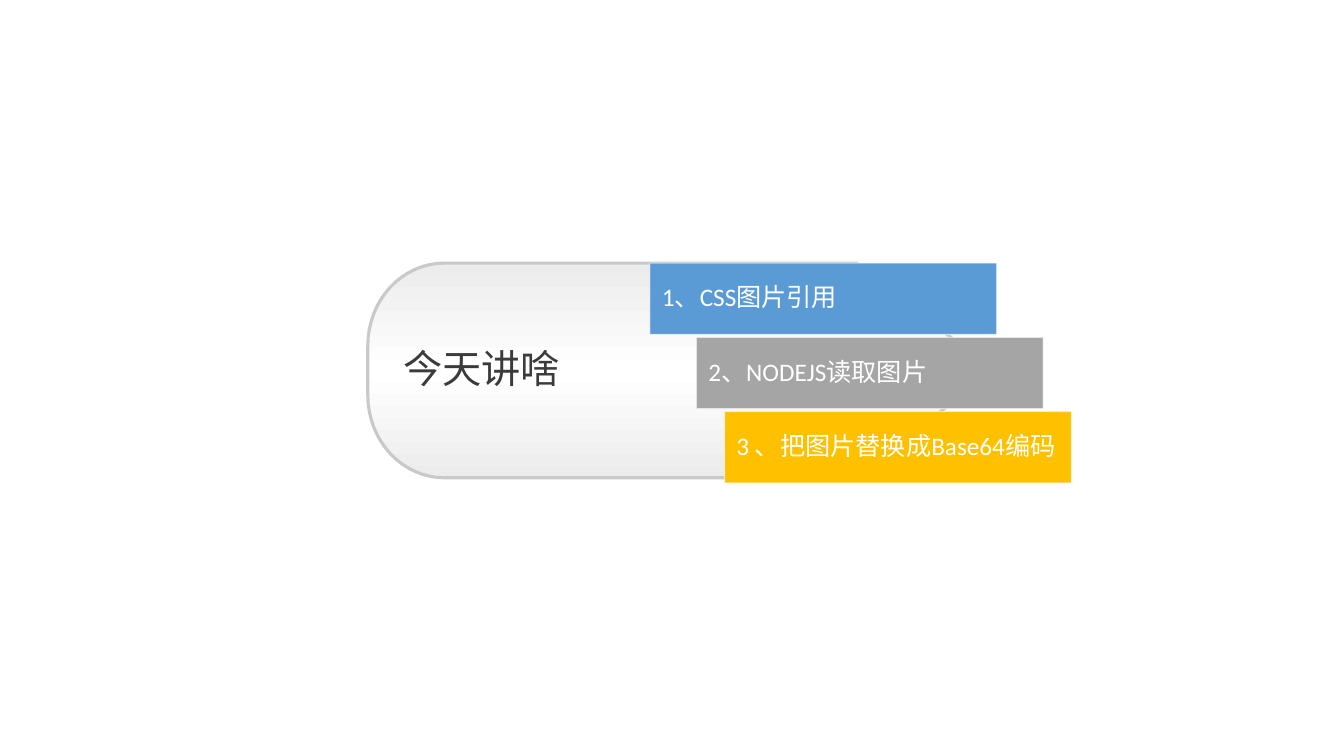
"""Build the agenda slide: a capsule heading with three stepped topic bars."""
from copy import deepcopy
from math import cos, pi, sin

from pptx import Presentation
from pptx.dml.color import RGBColor
from pptx.enum import shapes, text
from pptx.oxml import ns
from pptx.util import Cm, Pt
from lxml import etree

WHITE = RGBColor(0xFF, 0xFF, 0xFF)
PALE = RGBColor(0xEC, 0xEC, 0xEC)
EDGE = RGBColor(0xC9, 0xC9, 0xC9)
INK = RGBColor(0x3B, 0x3B, 0x3B)
BLUE = RGBColor(0x5B, 0x9B, 0xD5)
GREY = RGBColor(0xA5, 0xA5, 0xA5)
GOLD = RGBColor(0xFF, 0xC0, 0x00)

LATIN, CJK = "Calibri", "Noto Sans CJK SC"
LEFT, TOP, TIP, BOTTOM = 9.27, 6.63, 25.02, 12.04
SHOULDER, RADIUS_X, RADIUS_Y = 21.59, 1.93, 2.08
BAR_WIDTH, BAR_HEIGHT, BAR_STEP = 8.74, 1.8, 1.87
TOPICS = [
    ("1、CSS图片引用", 16.38, BLUE),
    ("2、NODEJS读取图片", 17.55, GREY),
    ("3 、把图片替换成Base64编码", 18.26, GOLD),
]


def set_all(target, values):
    for name, value in values.items():
        setattr(target, name, value)


def write(shape, words, size, color, font, left, right):
    tf = shape.text_frame
    set_all(tf, {
        "word_wrap": True, "auto_size": text.MSO_AUTO_SIZE.NONE,
        "vertical_anchor": text.MSO_ANCHOR.MIDDLE,
        "margin_left": Cm(left), "margin_right": Cm(right),
        "margin_top": 0, "margin_bottom": 0,
    })
    p = tf.paragraphs[0]
    set_all(p, {"alignment": text.PP_ALIGN.LEFT, "line_spacing": 0.9})
    r = p.add_run()
    r.text = words
    set_all(r.font, {"size": Pt(size), "name": font})
    r.font.color.rgb = color
    ea = etree.SubElement(r.font._element, ns.qn("a:ea"))
    ea.set("typeface", CJK)


def outline(shape, color, width):
    shape.shadow.inherit = False
    shape.line.color.rgb = color
    shape.line.width = Pt(width)


def corner(center_y, start):
    angles = [start + pi / 2 * i / 16 for i in range(17)]
    return [(LEFT + RADIUS_X * (1 + cos(a)), center_y + RADIUS_Y * sin(a))
            for a in angles]


def add_capsule(s):
    points = [(SHOULDER, TOP), (TIP, (TOP + BOTTOM) / 2), (SHOULDER, BOTTOM)]
    points += corner(BOTTOM - RADIUS_Y, pi / 2) + corner(TOP + RADIUS_Y, pi)
    points = [(Cm(x), Cm(y)) for x, y in points]
    builder = s.shapes.build_freeform(*points[0])
    builder.add_line_segments(points[1:], close=True)
    sp = builder.convert_to_shape()
    outline(sp, EDGE, 2.25)
    sp.fill.gradient()
    sp.fill.gradient_angle = 90
    first = sp._element.spPr.find(".//" + ns.qn("a:gs"))
    first.addnext(deepcopy(first))
    stops = [(0, PALE), (0.5, WHITE), (1, PALE)]
    for stop, (position, color) in zip(sp.fill.gradient_stops, stops):
        stop.position = position
        stop.color.rgb = color
    return sp


def add_heading(s, words, capsule):
    title = s.shapes.title
    set_all(title, {"left": Cm(LEFT), "top": Cm(TOP),
                    "width": Cm(7), "height": Cm(BOTTOM - TOP)})
    write(title, words, 28, INK, CJK, 0.89, 0)
    title._element.addprevious(capsule._element)


def add_bar(s, words, left, top, color):
    sp = s.shapes.add_shape(shapes.MSO_SHAPE.RECTANGLE, Cm(left), Cm(top),
                            Cm(BAR_WIDTH), Cm(BAR_HEIGHT))
    sp.fill.solid()
    sp.fill.fore_color.rgb = color
    outline(sp, WHITE, 0.75)
    edge = sp._element.spPr.find(ns.qn("a:ln")).find(".//" + ns.qn("a:srgbClr"))
    etree.SubElement(edge, ns.qn("a:alpha")).set("val", "57000")
    write(sp, words, 18, WHITE, LATIN, 0.3, 0.3)


def main():
    prs = Presentation()
    set_all(prs, {"slide_width": Cm(33.87), "slide_height": Cm(19.05)})
    s = prs.slides.add_slide(prs.slide_layouts[5])
    add_heading(s, "今天讲啥", add_capsule(s))
    for i, (words, left, color) in enumerate(TOPICS):
        add_bar(s, words, left, TOP + BAR_STEP * i, color)
    prs.save("out.pptx")


main()
